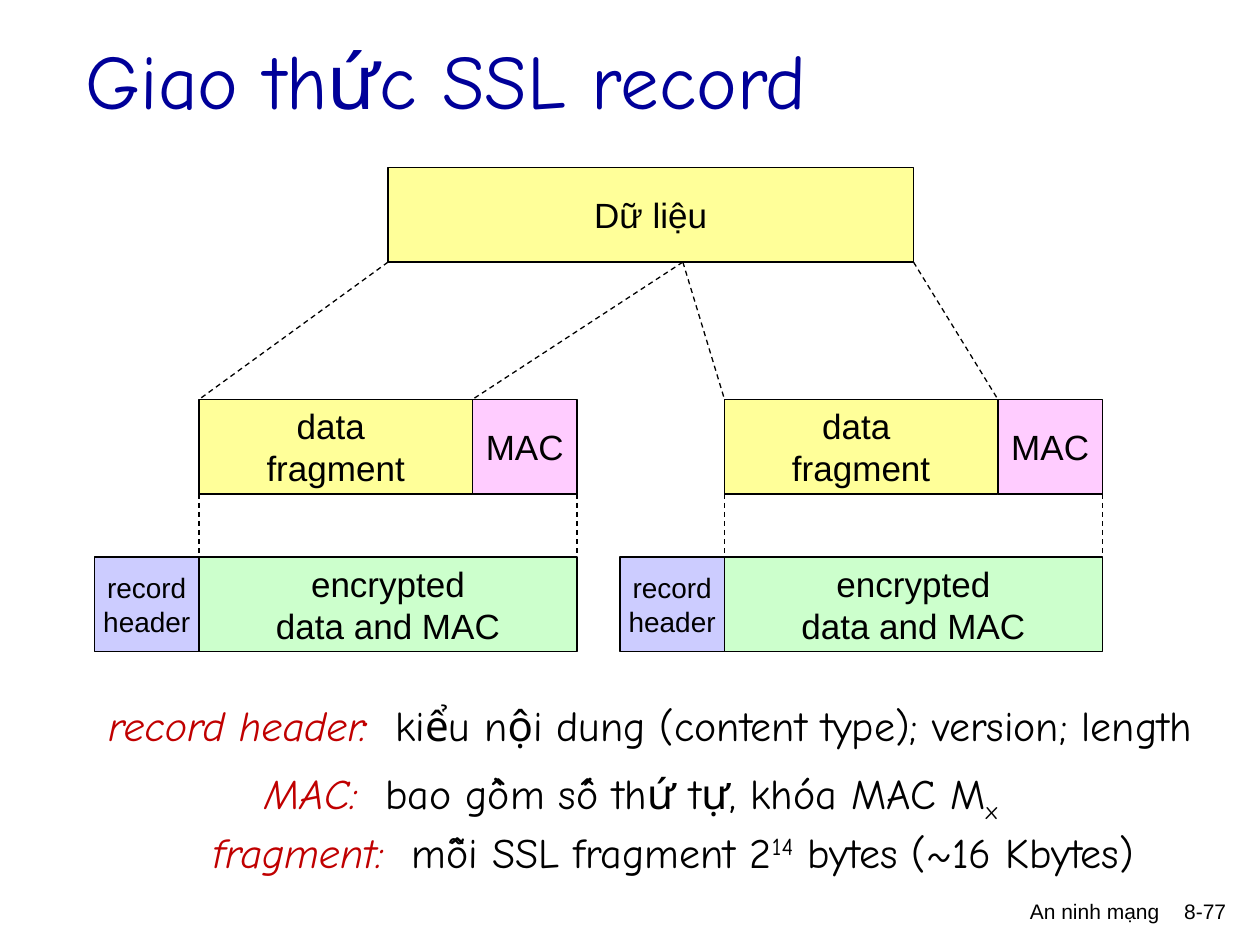
"""Build the slide on the SSL record protocol."""
from dataclasses import dataclass

from lxml.etree import SubElement
from pptx import Presentation
from pptx.dml.color import RGBColor
from pptx.enum.dml import MSO_LINE
from pptx.enum.shapes import MSO_CONNECTOR as CONN, MSO_SHAPE as SHAPE
from pptx.enum.text import MSO_ANCHOR as ANCHOR, MSO_AUTO_SIZE as AUTO, PP_ALIGN as ALIGN
from pptx.oxml.ns import qn
from pptx.shapes.shapetree import GroupShapes, SlideShapes
from pptx.util import Inches, Pt

BLACK, NAVY, RED = "000000", "000099", "C00000"
YELLOW, PINK, GREEN, LILAC = "FFFF99", "FFCCFF", "CCFFCC", "CCCCFF"
SANS, HAND = "Arial", "Comic Neue"
DATA_Y, FRAGMENT_Y, RECORD_Y, BOX_H = 1.33, 3.17, 4.42, 0.75
FRAGMENT_W, MAC_W = 2.17, 0.83
RECORD_W = FRAGMENT_W + MAC_W
DATA_X, DATA_W, SPLIT_X = 3.08, 4.17, 5.42


@dataclass
class Box:
    x: float
    y: float
    w: float
    text: str
    fill: str
    size: int = 20


@dataclass
class Note:
    x: float
    y: float
    w: float
    h: float
    label: str
    pieces: list[tuple[str, int]]


@dataclass
class Footer:
    x: float
    w: float
    text: str


def rgb(color: str) -> RGBColor:
    """Turn a hex string into a colour."""
    return RGBColor.from_string(color)


def set_font(font, name: str, size: int, color: str) -> None:
    """Set typeface, size and colour."""
    font.name, font.size = name, Pt(size)
    font.color.rgb = rgb(color)


def add_box(shapes: GroupShapes, box: Box) -> None:
    """Draw a filled box with centred text."""
    sp = shapes.add_shape(SHAPE.RECTANGLE, Inches(box.x), Inches(box.y),
                          Inches(box.w), Inches(BOX_H))
    sp.shadow.inherit = False
    sp.fill.solid()
    sp.fill.fore_color.rgb = rgb(box.fill)
    sp.line.color.rgb = rgb(BLACK)
    sp.line.width = Pt(0.75)
    tf = sp.text_frame
    tf.text = box.text
    tf.word_wrap = False
    tf.vertical_anchor = ANCHOR.MIDDLE
    for p in tf.paragraphs:
        p.alignment = ALIGN.CENTER
        set_font(p.font, SANS, box.size, BLACK)


def add_dashed(shapes: GroupShapes, x1: float, y1: float, x2: float, y2: float) -> None:
    """Draw a thin dashed line."""
    line = shapes.add_connector(CONN.STRAIGHT, Inches(x1), Inches(y1), Inches(x2), Inches(y2))
    line.line.color.rgb = rgb(BLACK)
    line.line.width = Pt(0.75)
    line.line.dash_style = MSO_LINE.DASH
    SubElement(line._element.spPr, qn("a:effectLst"))


def add_record(shapes: GroupShapes, x: float, top_left: float, top_right: float) -> None:
    """Draw one fragment with its MAC, the record made from it and the lines between."""
    mac_x = x + FRAGMENT_W
    for box in (
        Box(x, FRAGMENT_Y, FRAGMENT_W, "data \nfragment", YELLOW),
        Box(mac_x, FRAGMENT_Y, MAC_W, "MAC", PINK),
        Box(x, RECORD_Y, RECORD_W, "encrypted\ndata and MAC", GREEN),
        Box(x - MAC_W, RECORD_Y, MAC_W, "record\nheader", LILAC, 16),
    ):
        add_box(shapes, box)
    for edge in (x, x + RECORD_W):
        add_dashed(shapes, edge, FRAGMENT_Y + BOX_H, edge, RECORD_Y)
    for top, bottom in ((top_left, x), (top_right, mac_x)):
        add_dashed(shapes, top, DATA_Y + BOX_H, bottom, FRAGMENT_Y)


def add_note(shapes: SlideShapes, note: Note) -> None:
    """Write a red italic label and its explanation."""
    tf = shapes.add_textbox(Inches(note.x), Inches(note.y),
                            Inches(note.w), Inches(note.h)).text_frame
    tf.word_wrap = False
    tf.auto_size = AUTO.SHAPE_TO_FIT_TEXT
    p = tf.paragraphs[0]
    r = p.add_run()
    r.text = note.label
    r.font.italic = True
    set_font(r.font, HAND, 24, RED)
    for text, baseline in note.pieces:
        r = p.add_run()
        r.text = text
        set_font(r.font, HAND, 24, BLACK)
        if baseline:
            r.font._element.set("baseline", str(baseline * 1000))


def add_footer(shapes: SlideShapes, footer: Footer) -> None:
    """Write a right-aligned footer text."""
    tf = shapes.add_textbox(Inches(footer.x), Inches(7.08),
                            Inches(footer.w), Inches(0.33)).text_frame
    tf.word_wrap = True
    p = tf.paragraphs[0]
    p.text = footer.text
    p.alignment = ALIGN.RIGHT
    set_font(p.font, SANS, 12, BLACK)


def add_title(shapes: SlideShapes, text: str) -> None:
    """Place and format the title."""
    title = shapes.title
    title.left, title.top = Inches(0.58), Inches(0)
    title.width, title.height = Inches(8.5), Inches(1.25)
    tf = title.text_frame
    tf.text = text
    tf.auto_size = AUTO.NONE
    tf.vertical_anchor = ANCHOR.MIDDLE
    p = tf.paragraphs[0]
    p.alignment = ALIGN.LEFT
    set_font(p.font, HAND, 44, NAVY)


NOTES = [
    Note(0.76, 5.5, 8.98, 0.5, "record header:  ",
         [("kiểu nội dung (content type); version; length", 0)]),
    Note(2, 6.04, 6.02, 0.56, "MAC:  ",
         [("bao gồm số thứ tự, khóa MAC M", 0), ("x", -25)]),
    Note(1.59, 6.51, 7.55, 0.5, "fragment:  ",
         [("mỗi SSL fragment 2", 0), ("14", 30), (" bytes (~16 Kbytes)", 0)]),
]
FOOTERS = [Footer(9.09, 0.74, "8-77"), Footer(5.08, 4.22, "An ninh mạng")]


def main() -> None:
    """Build and save the slide."""
    prs = Presentation()
    prs.slide_width, prs.slide_height = Inches(10), Inches(7.5)
    s = prs.slides.add_slide(prs.slide_layouts[5])
    add_title(s.shapes, "Giao thức SSL record")
    for footer in FOOTERS:
        add_footer(s.shapes, footer)
    diagram = s.shapes.add_group_shape().shapes
    add_box(diagram, Box(DATA_X, DATA_Y, DATA_W, "Dữ liệu", YELLOW))
    add_record(diagram, 1.58, DATA_X, SPLIT_X)
    add_record(diagram, 5.75, SPLIT_X, DATA_X + DATA_W)
    for note in NOTES:
        add_note(s.shapes, note)
    prs.save("out.pptx")


if __name__ == "__main__":
    main()
